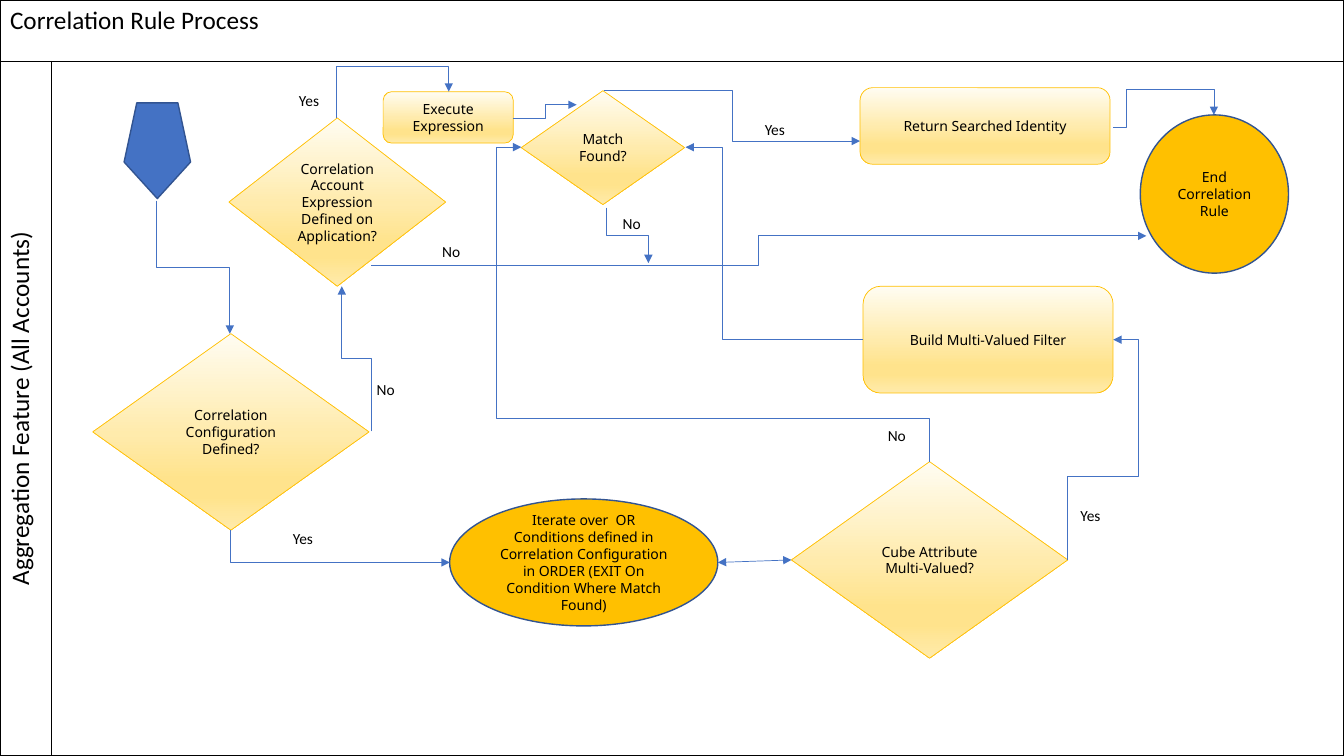
from lxml.etree import SubElement
from pptx import Presentation
from pptx.dml.color import RGBColor
from pptx.enum.shapes import MSO_CONNECTOR, MSO_SHAPE
from pptx.enum.text import MSO_ANCHOR, PP_ALIGN
from pptx.oxml.ns import qn
from pptx.util import Inches, Pt

BLUE, NAVY, GOLD, BLACK = "4472C4", "325491", "FFC000", "000000"
STOPS = [(0, "FFFCF2"), (51, "FFEBAC"), (74, "FFE38C"), (83, "FFE38C"),
         (100, "FFEBAC"), (100, "FFECB2")]


def paint(code):
    return RGBColor.from_string(code)


def add(parent, tag, **attrs):
    return SubElement(parent, qn(tag), {k: str(v) for k, v in attrs.items()})


def write(frame, text, size=10, font="Noto Sans", color=BLACK, align=PP_ALIGN.CENTER):
    par = frame.paragraphs[0]
    par.alignment = align
    run = par.add_run()
    run.text = text
    run.font.size = Pt(size)
    run.font.name = font
    run.font.color.rgb = paint(color)


def shade(shape):
    shape.fill.gradient()
    grad = shape.element.spPr.find(qn("a:gradFill"))
    for child in list(grad):
        grad.remove(child)
    stops = add(grad, "a:gsLst")
    for place, code in STOPS:
        stop = add(stops, "a:gs", pos=place * 1000)
        add(stop, "a:srgbClr", val=code)
    add(grad, "a:lin", ang=5400000, scaled=0)


def edge(cell):
    props = cell._tc.get_or_add_tcPr()
    fill = props.find(qn("a:noFill"))
    for spot, side in enumerate(("a:lnL", "a:lnR", "a:lnT", "a:lnB")):
        line = add(props, side, w=12700)
        add(add(line, "a:solidFill"), "a:srgbClr", val=BLACK)
        props.insert(spot, line)
    return props


def frame(slide, box):
    left, top, wide, high = box
    table = slide.shapes.add_table(2, 2, *map(Inches, box)).table
    table.first_row = table.horz_banding = False
    side, head = 0.51, 0.61
    for col, size in zip(table.columns, (side, wide - side)):
        col.width = Inches(size)
    for row, size in zip(table.rows, (head, high - head)):
        row.height = Inches(size)
    for cell in table.iter_cells():
        cell.fill.background()
        edge(cell)
    table.cell(0, 0).merge(table.cell(0, 1))
    write(table.cell(0, 0).text_frame, "Correlation Rule Process",
          size=18, font="Calibri", align=PP_ALIGN.LEFT)
    lane = table.cell(1, 0)
    lane._tc.get_or_add_tcPr().set("vert", "vert270")
    write(lane.text_frame, "Aggregation Feature (All Accounts)", size=18, font="Calibri")


def node(slide, box, kind, spot, text="", fill=None):
    x, y, wide, high = spot
    shape = slide.shapes.add_shape(kind, Inches(box[0] + x), Inches(box[1] + y),
                                   Inches(wide), Inches(high))
    shape.shadow.inherit = False
    if fill:
        shape.fill.solid()
        shape.fill.fore_color.rgb = paint(fill)
    else:
        shade(shape)
    shape.line.color.rgb = paint(NAVY if fill else GOLD)
    shape.line.width = Pt(1 if fill else 0.5)
    shape.text_frame.vertical_anchor = MSO_ANCHOR.MIDDLE
    if text:
        write(shape.text_frame, text)
    return shape


def style(line, head=False):
    line.line.color.rgb = paint(BLUE)
    line.line.width = Pt(0.5)
    ends = line.line._get_or_add_ln()
    if head:
        add(ends, "a:headEnd", type="triangle")
    add(ends, "a:tailEnd", type="triangle")
    add(line.element.spPr, "a:effectLst")


def elbow(slide, box, start, end, axis, *bends):
    line = slide.shapes.add_connector(
        MSO_CONNECTOR.ELBOW, *(Inches(box[i % 2] + n) for i, n in enumerate(start + end)))
    dx, dy = end[0] - start[0], end[1] - start[1]
    upright = axis == "v"
    wide, high = (abs(dy), abs(dx)) if upright else (abs(dx), abs(dy))
    flips = (dy < 0, dx > 0) if upright else (dx < 0, dy < 0)
    turn = 90 if upright else 0
    if upright and flips[0] != flips[1]:
        turn, flips = 270, flips[::-1]
    elif not upright and all(flips):
        turn, flips = 180, (False, False)
    line.left = Inches(box[0] + (start[0] + end[0] - wide) / 2)
    line.top = Inches(box[1] + (start[1] + end[1] - high) / 2)
    line.width, line.height = Inches(wide), Inches(high)
    form = line.element.spPr.find(qn("a:xfrm"))
    form.set("rot", str(turn * 60000))
    for name, flip in zip(("flipH", "flipV"), flips):
        form.set(name, str(int(flip)))
    shape = line.element.spPr.find(qn("a:prstGeom"))
    shape.set("prst", f"bentConnector{len(bends) + 2}")
    guides = shape.find(qn("a:avLst"))
    if guides is None:
        guides = add(shape, "a:avLst")
    for i, bend in enumerate(bends):
        j = (i + upright) % 2
        ratio = (bend - start[j]) / (end[j] - start[j])
        add(guides, "a:gd", name=f"adj{i + 1}", fmla=f"val {round(ratio * 100000)}")
    style(line)


def nodes(slide, box):
    gem, oval, card = MSO_SHAPE.DIAMOND, MSO_SHAPE.OVAL, MSO_SHAPE.ROUNDED_RECTANGLE
    start = node(slide, box, MSO_SHAPE.REGULAR_PENTAGON, (1.23, 1.02, 0.66, 0.95), fill=BLUE)
    start.rotation = 180
    for kind, spot, text in (
            (gem, (0.92, 3.31, 2.74, 1.95), "Correlation Configuration Defined?"),
            (gem, (2.27, 1.17, 2.15, 1.67),
             "Correlation Account Expression Defined on Application?"),
            (gem, (5.17, 0.9, 1.62, 1.13), "Match Found?"),
            (card, (3.8, 0.91, 1.29, 0.51), "Execute Expression"),
            (card, (8.53, 0.87, 2.48, 0.76), "Return Searched Identity"),
            (card, (8.56, 2.84, 2.48, 1.06), "Build Multi-Valued Filter")):
        node(slide, box, kind, spot, text)
    node(slide, box, oval, (11.31, 1.14, 1.47, 1.57), "End Correlation Rule", GOLD)
    node(slide, box, oval, (4.46, 4.95, 2.66, 1.26),
         "Iterate over  OR Conditions defined in Correlation Configuration "
         "in ORDER (EXIT On Condition Where Match Found)", GOLD)
    return node(slide, box, gem, (7.85, 4.58, 2.74, 1.95), "Cube Attribute Multi-Valued?")


def links(slide, box, cube):
    for link in (
            ((1.55, 1.99), (2.28, 3.31), "v", 2.65),
            ((6.01, 2.06), (6.43, 2.61), "v", 2.34),
            ((10.59, 5.56), (11.04, 3.37), "v", 4.73, 11.29),
            ((2.28, 5.26), (4.46, 5.58), "v"),
            ((3.68, 4.28), (3.39, 2.84), "v", 3.56),
            ((5.99, 0.9), (8.53, 1.4), "h", 7.26),
            ((11.04, 1.26), (12.04, 1.14), "h", 11.17, 0.89),
            ((8.56, 3.37), (6.8, 1.46), "h", 7.16),
            ((9.22, 4.58), (5.17, 1.46), "v", 4.15, 4.92),
            ((3.34, 1.17), (4.45, 0.91), "v", 0.66),
            ((3.68, 2.63), (11.37, 2.34), "h", 7.52),
            ((5.09, 1.17), (5.72, 1.04), "h", 5.41)):
        elbow(slide, box, *link)
    x, y = Inches(box[0] + 7.12), Inches(box[1] + 5.58)
    line = slide.shapes.add_connector(MSO_CONNECTOR.STRAIGHT, x, y, x, y)
    line.end_connect(cube, 1)
    style(line, head=True)


def labels(slide, box):
    for text, spots in (
            ("Yes", ((2.73, 5.12), (7.41, 1.06), (10.54, 4.89), (2.79, 0.78))),
            ("No", ((5.99, 2), (8.62, 4.1), (3.55, 3.64), (4.2, 2.27)))):
        for x, y in spots:
            note = slide.shapes.add_textbox(Inches(box[0] + x), Inches(box[1] + y),
                                            Inches(0.55), Inches(0.44)).text_frame
            note.word_wrap = True
            note.vertical_anchor = MSO_ANCHOR.MIDDLE
            write(note, text, size=11, font="Calibri")


def main():
    deck = Presentation()
    deck.slide_width, deck.slide_height = Inches(13.33), Inches(7.5)
    slide = deck.slides.add_slide(deck.slide_layouts[6])
    box = (0, 0, 13.33, 7.5)
    frame(slide, box)
    cube = nodes(slide, box)
    links(slide, box, cube)
    labels(slide, box)
    deck.save("out.pptx")


if __name__ == "__main__":
    main()
